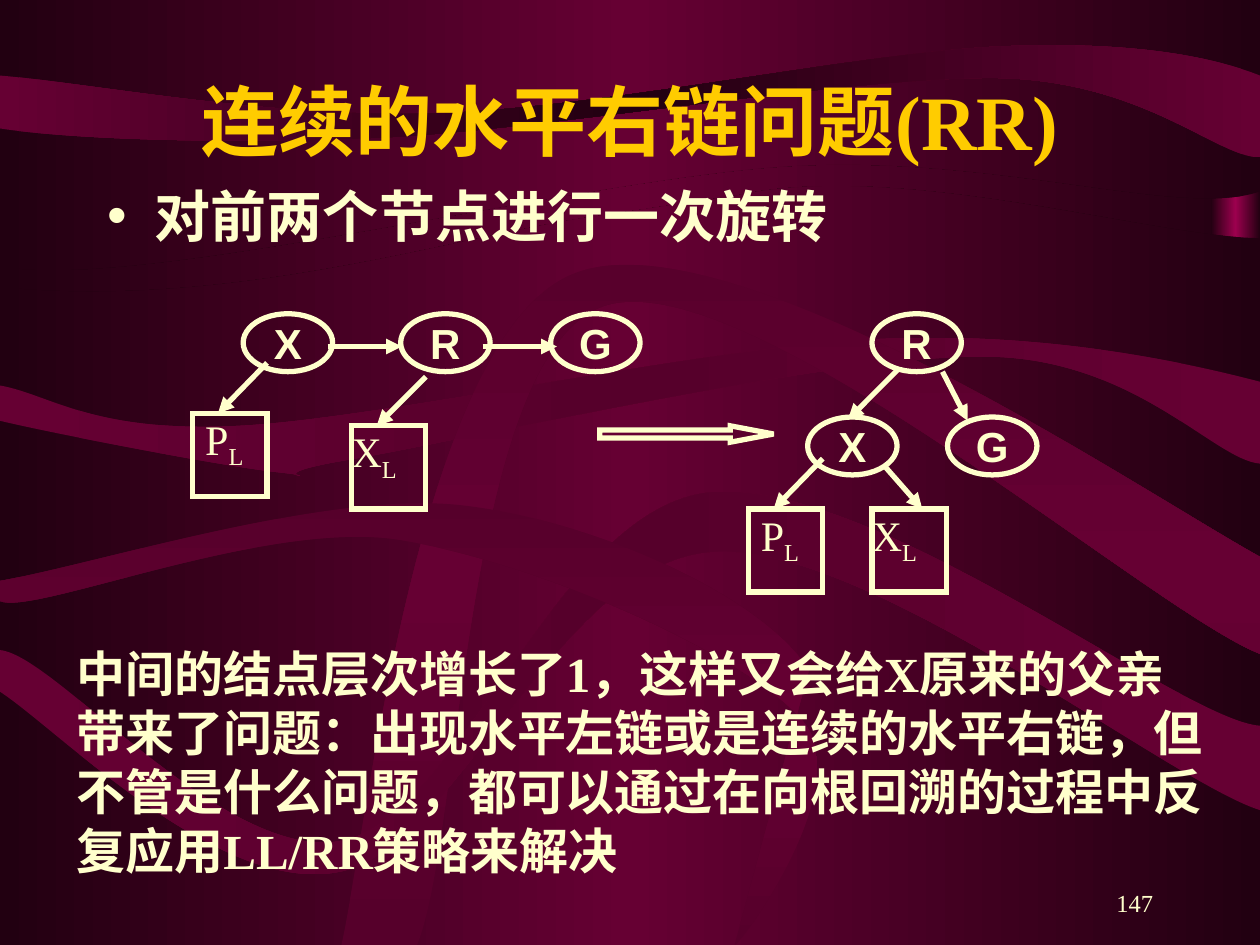
import lxml.etree
import pptx
import pptx.dml.color
import pptx.enum.shapes
import pptx.enum.text
import pptx.oxml.ns
import pptx.util

Inches = pptx.util.Inches
Pt = pptx.util.Pt
qn = pptx.oxml.ns.qn
KIND = pptx.enum.shapes.MSO_SHAPE
ALIGN = pptx.enum.text.PP_ALIGN
ANCHOR = pptx.enum.text.MSO_ANCHOR
FIT = pptx.enum.text.MSO_AUTO_SIZE

DARK, WINE, PLUM, ROSE = "220011", "660033", "56002B", "9C004E"

# Each outline: start point, then points (x, y) or cubic curves (three points).
UPPER = [(0, 0), (10, 0), (10, 1.52), (9.38, 1.74, 7.92, 1.22, 6.25, 1.32),
         (4.58, 1.42, 1.04, 2.33, 0, 2.11), (0, 0)]
LOWER = [(0, 2.28), (1.78, 2.45, 3.4, 1.94, 4.58, 1.74),
         (4.58, 1.74, 5.67, 1.58, 5.86, 1.55),
         (7.15, 1.27, 9.17, 1.89, 10, 1.89), (10, 7.5), (0, 7.5),
         (0, 7.5, 0, 2.28, 0, 2.28)]
TOP = [(0, 0.6), (0, 1.02), (0.51, 1.1, 1.76, 1.15, 3.08, 1.09),
       (4.4, 1.02, 6.79, 0.6, 7.94, 0.62), (9.09, 0.65, 9.66, 1.25, 10, 1.25),
       (10, 0.6), (9.65, 0.46, 9.01, 0.32, 7.92, 0.37),
       (6.82, 0.42, 4.77, 0.86, 3.45, 0.9), (2.13, 0.94, 0.72, 0.66, 0, 0.6)]
MIDDLE = [(0, 3.06), (0, 3.34), (0.37, 3.43, 1.75, 3.7, 2.22, 3.75),
          (2.69, 3.8, 1.9, 3.79, 2.82, 3.64), (3.75, 3.48, 6.6, 2.82, 7.8, 2.83),
          (9, 2.83, 9.63, 3.65, 10, 3.68), (10, 3.03),
          (9.5, 2.9, 8.36, 2.63, 7.01, 2.69), (5.66, 2.74, 3.07, 3.32, 1.9, 3.38),
          (0.73, 3.44, 0.4, 3.13, 0, 3.06)]
ARCH = [(2.71, 7.5), (2.91, 6.61, 3.32, 2.69, 4.54, 2.18),
        (5.75, 1.66, 9.09, 3.92, 10, 4.42), (10, 5.19),
        (9.13, 4.85, 5.91, 2.05, 4.79, 2.43), (3.68, 2.82, 3.66, 6.66, 3.31, 7.5),
        (2.71, 7.5)]
WAVE = [(0, 5.16), (0, 5.49), (0.45, 5.78, 1.74, 7.11, 2.69, 6.92),
        (3.63, 6.74, 4.43, 4.46, 5.65, 4.38), (6.87, 4.29, 9.27, 6.2, 10, 6.43),
        (10, 5.76), (9.38, 5.72, 6.91, 3.77, 5.62, 3.91),
        (4.41, 4.06, 3.67, 6.46, 2.73, 6.67), (1.79, 6.87, 0.45, 5.2, 0, 5.16)]
HOOK = [(0, 4.61), (0, 4.77), (0.26, 4.89, 2.08, 4.13, 3.14, 4.28),
        (4.2, 4.44, 5.92, 5.18, 6.37, 5.72), (6.82, 6.25, 5.82, 7.57, 5.83, 7.5),
        (6.42, 5.32), (6.06, 4.74, 4.73, 4.13, 3.66, 4.01),
        (2.59, 3.89, 0.76, 4.48, 0, 4.61)]
RIBBONS = [(UPPER, DARK, WINE, 0), (LOWER, DARK, WINE, 0), (TOP, WINE, DARK, 0),
           (MIDDLE, WINE, PLUM, 0), (ARCH, PLUM, WINE, 90),
           (WAVE, WINE, PLUM, 0), (HOOK, PLUM, WINE, 90)]


def rgb(code):
    return pptx.dml.color.RGBColor.from_string(code)


def bend(shape, outline):
    """Merge the three segments of each curve into one cubic segment."""
    route = shape.element.find(".//" + qn("a:path"))
    lines = iter(route.findall(qn("a:lnTo")))
    for part in outline[1:]:
        first = next(lines)
        if len(part) == 6:
            first.tag = qn("a:cubicBezTo")
            for _ in range(2):
                extra = next(lines)
                first.append(extra[0])
                route.remove(extra)


class Board:
    ink, gold = "FFFFCC", "FFCC00"
    serif, sans = "Times New Roman", "Arial"
    stroke = Pt(3)

    def __init__(self, slide):
        self.slide = slide
        self.shapes = slide.shapes

    def blend(self, owner, fill, edge, core, angle=0):
        """Fill with a gradient that runs edge, core, edge."""
        fill.gradient()
        fill.gradient_angle = angle
        stops = owner.find(".//" + qn("a:gsLst"))
        lxml.etree.SubElement(stops, qn("a:gs"), pos="100000")
        for stop, place, code in zip(fill.gradient_stops, (0, 0.5, 1), (edge, core, edge)):
            stop.position = place
            stop.color.rgb = rgb(code)

    def finish(self, shape, edge, core, angle=0):
        shape.shadow.inherit = False
        shape.line.fill.background()
        self.blend(shape.element, shape.fill, edge, core, angle)

    def ribbon(self, outline, edge, core, angle):
        points = [(Inches(part[i]), Inches(part[i + 1]))
                  for part in outline for i in range(0, len(part), 2)]
        build = self.shapes.build_freeform(*points[0])
        build.add_line_segments(points[1:], close=True)
        shape = build.convert_to_shape()
        bend(shape, outline)
        self.finish(shape, edge, core, angle)

    def scene(self):
        self.blend(self.slide.element, self.slide.background.fill, DARK, WINE)
        strip = self.shapes.add_shape(KIND.RECTANGLE, Inches(9.61), Inches(0.49),
                                      Inches(0.39), Inches(3.45))
        self.finish(strip, DARK, ROSE)
        for item in RIBBONS:
            self.ribbon(*item)

    def style(self, para, size, color=None, bold=False, face=None, align=ALIGN.LEFT):
        para.alignment = align
        para.space_before = Pt(0)
        for run in para.runs:
            run.font.size = Pt(size)
            run.font.name = face or self.serif
            run.font.bold = bold
            run.font.color.rgb = rgb(color or self.ink)

    def place(self, holder, box, text, size, anchor, **look):
        """Move a placeholder to the front and fill it."""
        self.shapes.element.append(holder.element)
        holder.left, holder.top, holder.width, holder.height = map(Inches, box)
        frame = holder.text_frame
        frame.text = text
        frame.auto_size = FIT.NONE
        frame.vertical_anchor = anchor
        self.style(frame.paragraphs[0], size, bold=True, **look)

    def bullet(self, holder):
        props = holder.element.find(".//" + qn("a:pPr"))
        props.set("marL", str(Inches(0.38)))
        props.set("indent", str(Inches(-0.38)))
        tint = lxml.etree.SubElement(props, qn("a:buClr"))
        lxml.etree.SubElement(tint, qn("a:srgbClr"), val=self.ink)
        lxml.etree.SubElement(props, qn("a:buChar"), char="•")

    def note(self, box, text, size, anchor, **look):
        frame = self.shapes.add_textbox(*map(Inches, box)).text_frame
        frame.word_wrap = True
        frame.vertical_anchor = anchor
        frame.text = text
        self.style(frame.paragraphs[0], size, **look)

    def shape(self, kind, x, y, width, height):
        shape = self.shapes.add_shape(kind, *map(Inches, (x, y, width, height)))
        shape.shadow.inherit = False
        shape.fill.background()
        shape.line.color.rgb = rgb(self.ink)
        shape.line.width = self.stroke
        edge = shape.element.spPr.find(qn("a:ln"))
        lxml.etree.SubElement(edge, qn("a:miter"), lim="800000")
        return shape

    def label(self, shape, text, inset, anchor):
        frame = shape.text_frame
        frame.margin_left = frame.margin_right = Inches(inset)
        frame.margin_top = frame.margin_bottom = 0
        frame.vertical_anchor = anchor
        frame.text = text
        return frame.paragraphs[0]

    def node(self, text, x, y):
        para = self.label(self.shape(KIND.OVAL, x, y, 0.71, 0.46), text, 0.1, ANCHOR.MIDDLE)
        self.style(para, 24, bold=True, face=self.sans, align=ALIGN.CENTER)

    def leaf(self, text, x, y, inset):
        """Draw a subtree box whose name has a lowered L."""
        box = self.shape(KIND.RECTANGLE, x, y, 0.59, 0.66)
        para = self.label(box, text, inset, ANCHOR.TOP)
        para.add_run().text = "L"
        self.style(para, 24, align=ALIGN.JUSTIFY)
        box.element.findall(".//" + qn("a:rPr"))[-1].set("baseline", "-25000")

    def link(self, *ends):
        line = self.shapes.add_connector(pptx.enum.shapes.MSO_CONNECTOR.STRAIGHT,
                                         *map(Inches, ends))
        line.line.color.rgb = rgb(self.ink)
        line.line.width = self.stroke
        props = line.element.spPr
        lxml.etree.SubElement(props.find(qn("a:ln")), qn("a:tailEnd"), type="triangle")
        lxml.etree.SubElement(props, qn("a:effectLst"))


def main():
    deck = pptx.Presentation()
    deck.slide_width, deck.slide_height = Inches(10), Inches(7.5)
    board = Board(deck.slides.add_slide(deck.slide_layouts[1]))
    board.scene()

    title, body = board.shapes.title, board.slide.placeholders[1]
    board.place(title, (0.75, 0.44, 8.5, 1.02), "连续的水平右链问题(RR)", 44,
                ANCHOR.MIDDLE, color=board.gold, align=ALIGN.CENTER)
    board.place(body, (0.75, 1.39, 8.5, 0.95), "对前两个节点进行一次旋转", 32, ANCHOR.TOP)
    board.bullet(body)
    board.note((0.51, 5.06, 9.21, 1.97),
               "中间的结点层次增长了1，这样又会给X原来的父亲带来了问题：出现水平左链或是连续的"
               "水平右链，但不管是什么问题，都可以通过在向根回溯的过程中反复应用LL/RR策略来解决",
               28, ANCHOR.MIDDLE, bold=True)
    board.note((7.17, 6.83, 2.08, 0.5), "147", 14, ANCHOR.BOTTOM, align=ALIGN.RIGHT)

    for text, x, y in (("X", 1.93, 2.49), ("R", 3.18, 2.49), ("G", 4.37, 2.49),
                       ("R", 6.92, 2.49), ("X", 6.41, 3.31), ("G", 7.52, 3.31)):
        board.node(text, x, y)
    for text, x, y, inset in (("P", 1.53, 3.28, 0.1), ("X", 2.79, 3.38, 0),
                              ("P", 5.94, 4.04, 0.1), ("X", 6.92, 4.04, 0)):
        board.leaf(text, x, y, inset)
    for ends in ((2.6, 2.75, 3.19, 2.75), (3.83, 2.75, 4.42, 2.75),
                 (2.12, 2.88, 1.73, 3.28), (3.38, 2.99, 2.99, 3.38),
                 (7.12, 2.94, 6.73, 3.33), (7.48, 2.95, 7.68, 3.34),
                 (6.53, 3.64, 6.14, 4.04), (7.03, 3.71, 7.32, 4.04)):
        board.link(*ends)
    arrow = board.shape(KIND.RIGHT_ARROW, 4.76, 3.38, 1.38, 0.13)
    arrow.adjustments[1] = 2.64
    deck.save("out.pptx")


if __name__ == "__main__":
    main()
